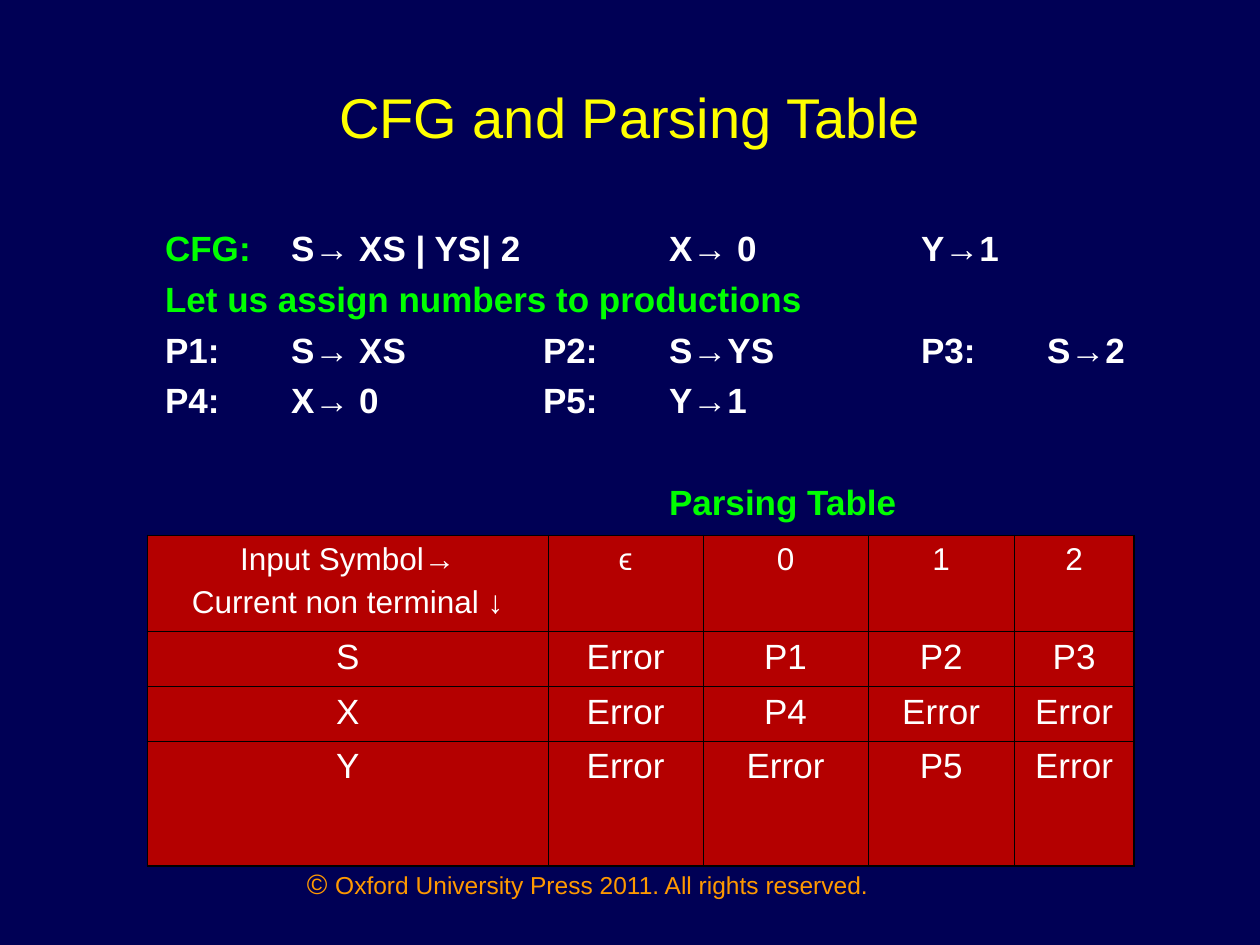
from dataclasses import dataclass

from lxml.etree import SubElement
from pptx import Presentation
from pptx.dml.color import RGBColor
from pptx.enum.text import MSO_ANCHOR, PP_ALIGN
from pptx.oxml.ns import qn
from pptx.util import Inches, Length, Pt


@dataclass(frozen=True)
class Theme:
    font: str = "Arial"
    background: str = "000055"
    title: str = "FFFF00"
    accent: str = "00FF00"
    text: str = "FFFFFF"
    footer: str = "FF9900"
    cell: str = "B40000"
    border: str = "000000"
    title_size: float = 32
    body_size: float = 20
    header_size: float = 18
    copyright_size: float = 16
    footer_size: float = 14
    outer_line: float = 1.08
    inner_line: float = 0.45


@dataclass(frozen=True)
class Span:
    text: str
    color: str
    size: float = 20


@dataclass(frozen=True)
class Line:
    spans: list[Span]
    space_before: float = 5
    indent: float = 0


THEME = Theme()


def add_text(paragraph, text: str, *, size: float, color: str, bold: bool = False) -> None:
    run = paragraph.add_run()
    run.text = text
    run.font.name = THEME.font
    run.font.size = Pt(size)
    run.font.bold = bold
    run.font.color.rgb = RGBColor.from_string(color)


def set_tabs(paragraph, count: int) -> None:
    """Place left tab stops one inch apart."""
    tab_list = SubElement(paragraph._p.get_or_add_pPr(), qn("a:tabLst"))
    for stop in range(1, count + 1):
        SubElement(tab_list, qn("a:tab"), pos=str(Inches(stop)), algn="l")


def add_text_box(slide, left: Length, top: Length, width: Length, height: Length,
                 lines: list[Line], *, align=PP_ALIGN.LEFT, anchor=MSO_ANCHOR.TOP,
                 left_inset: Length = Inches(0.1), bold: bool = False, tabs: int = 0) -> None:
    frame = slide.shapes.add_textbox(left, top, width, height).text_frame
    frame.word_wrap = True
    frame.vertical_anchor = anchor
    frame.margin_left = left_inset
    for index, line in enumerate(lines):
        paragraph = frame.add_paragraph() if index else frame.paragraphs[0]
        paragraph.alignment = align
        if index:
            paragraph.space_before = Pt(line.space_before)
        if line.indent:
            paragraph._p.get_or_add_pPr().set("marL", str(Inches(line.indent)))
        elif tabs:
            set_tabs(paragraph, tabs)
        for span in line.spans:
            add_text(paragraph, span.text, size=span.size, color=span.color, bold=bold)


def set_border(cell, side: str, width: float) -> None:
    line = SubElement(cell._tc.get_or_add_tcPr(), qn(f"a:ln{side}"), w=str(Pt(width)))
    SubElement(SubElement(line, qn("a:solidFill")), qn("a:srgbClr"), val=THEME.border)


def add_parsing_table(slide, left: Length, top: Length, rows: list[list[str]],
                      widths: list[float], heights: list[float]) -> None:
    table = slide.shapes.add_table(len(rows), len(widths), left, top,
                                   Inches(sum(widths)), Inches(sum(heights))).table
    table.first_row = table.horz_banding = False
    for column, width in zip(table.columns, widths):
        column.width = Inches(width)
    for row, height in zip(table.rows, heights):
        row.height = Inches(height)

    last_row, last_column = len(rows) - 1, len(widths) - 1
    for r, row_texts in enumerate(rows):
        size = THEME.body_size if r else THEME.header_size
        for c, cell_text in enumerate(row_texts):
            cell = table.cell(r, c)
            outer_sides = {"L": c == 0, "R": c == last_column, "T": r == 0, "B": r == last_row}
            for side, is_outer in outer_sides.items():
                set_border(cell, side, THEME.outer_line if is_outer else THEME.inner_line)
            cell.fill.solid()
            cell.fill.fore_color.rgb = RGBColor.from_string(THEME.cell)
            for index, text in enumerate(cell_text.split("\n")):
                frame = cell.text_frame
                paragraph = frame.add_paragraph() if index else frame.paragraphs[0]
                paragraph.alignment = PP_ALIGN.CENTER
                if index:
                    paragraph.space_before = Pt(4.5)
                add_text(paragraph, text, size=size, color=THEME.text)


def main() -> None:
    presentation = Presentation()
    presentation.slide_width, presentation.slide_height = Inches(10), Inches(7.5)
    slide = presentation.slides.add_slide(presentation.slide_layouts[6])
    slide.background.fill.solid()
    slide.background.fill.fore_color.rgb = RGBColor.from_string(THEME.background)

    # Footer
    footer = [Span("© ", THEME.footer, THEME.copyright_size),
              Span("Oxford University Press 2011. All rights reserved.",
                   THEME.footer, THEME.footer_size)]
    add_text_box(slide, Inches(2), Inches(6.83), Inches(5.33), Inches(0.52),
                 [Line(footer)], align=PP_ALIGN.CENTER)

    # Title
    title = Span("CFG and Parsing Table", THEME.title, THEME.title_size)
    add_text_box(slide, Inches(0.5), Inches(0.3), Inches(9), Inches(1.25),
                 [Line([title])], align=PP_ALIGN.CENTER, anchor=MSO_ANCHOR.MIDDLE)

    # Grammar and numbered productions
    grammar = [
        Line([Span("CFG: \t", THEME.accent),
              Span("S→ XS | YS| 2\t\tX→ 0 \t\tY→1", THEME.text)]),
        Line([Span("Let us assign numbers to productions", THEME.accent)]),
        Line([Span("P1: \tS→ XS\t\tP2: \tS→YS\t\tP3:\tS→2", THEME.text)]),
        Line([Span("P4:\tX→ 0\t\tP5:\tY→1", THEME.text)]),
        Line([Span("Parsing Table", THEME.accent)], space_before=34, indent=4),
    ]
    add_text_box(slide, Inches(0.83), Inches(1.75), Inches(8.58), Inches(4.95),
                 grammar, left_inset=Inches(0.48), bold=True, tabs=7)

    # Parsing table
    rows = [
        ["Input Symbol→\nCurrent non terminal ↓", "ϵ", "0", "1", "2"],
        ["S", "Error", "P1", "P2", "P3"],
        ["X", "Error", "P4", "Error", "Error"],
        ["Y", "Error", "Error", "P5", "Error"],
    ]
    add_parsing_table(slide, Inches(1.17), Inches(4.25), rows,
                      widths=[3.18, 1.23, 1.31, 1.16, 0.95],
                      heights=[0.76, 0.43, 0.43, 0.99])

    presentation.save("out.pptx")


if __name__ == "__main__":
    main()
